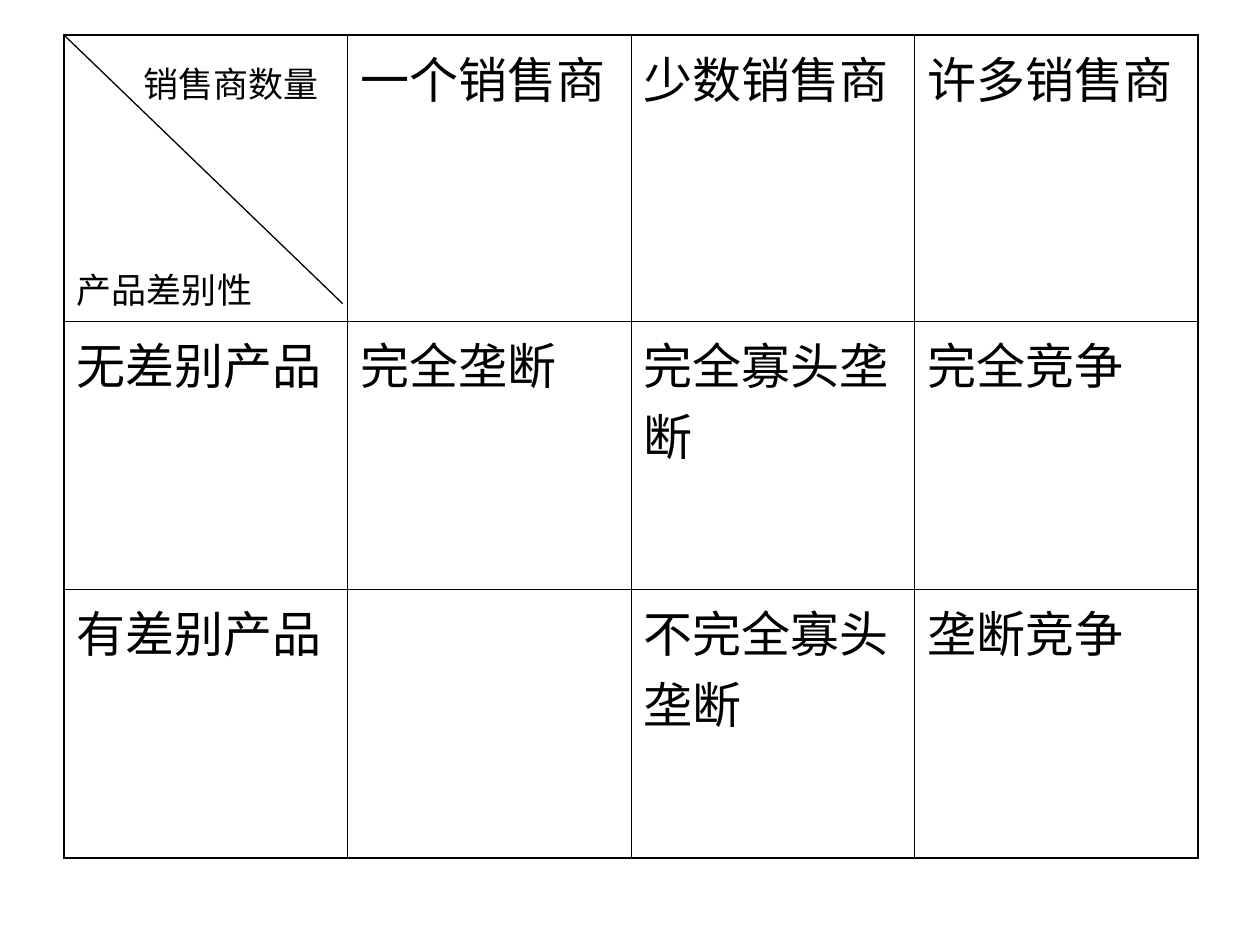
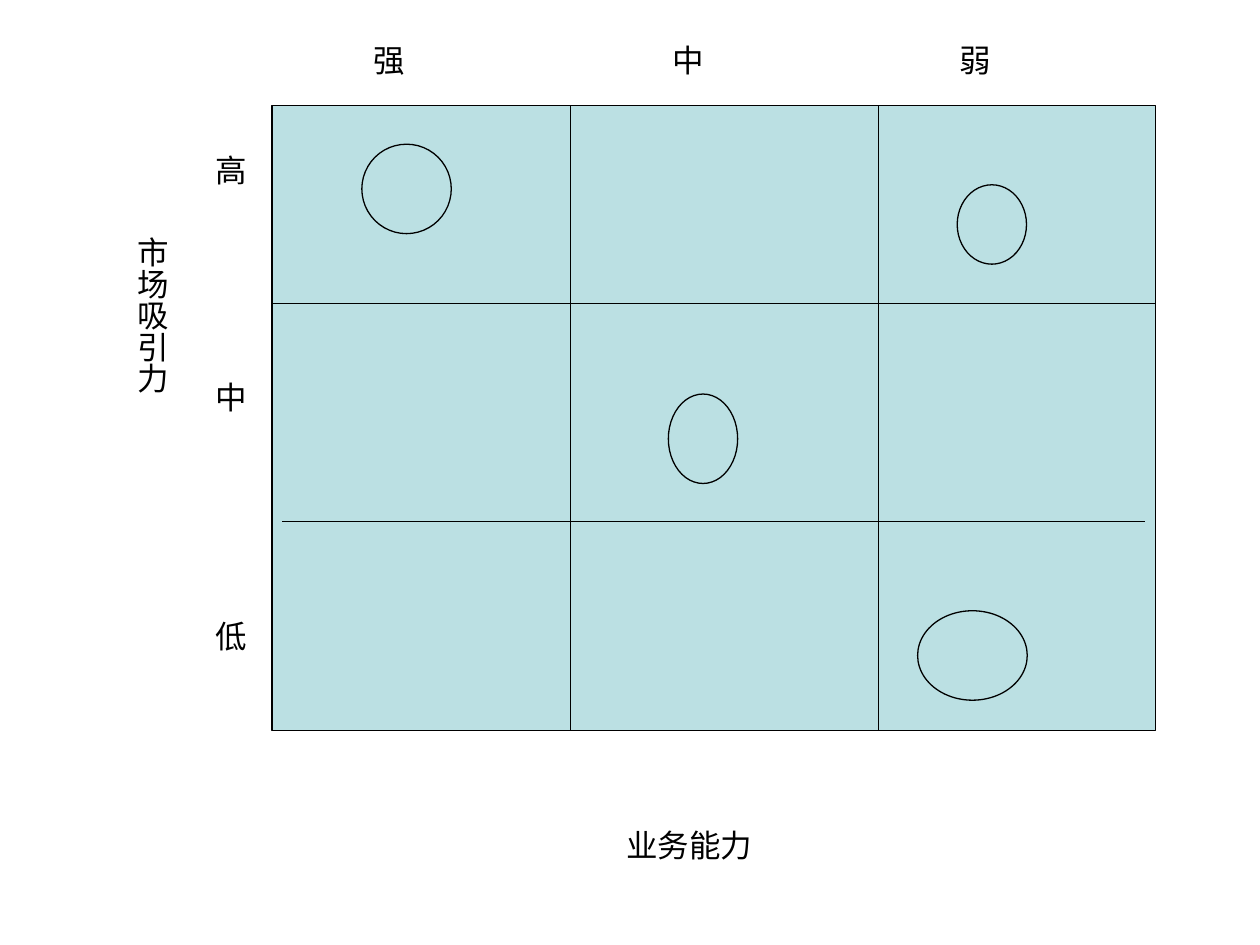
from itertools import product

from lxml import etree
from pptx import Presentation
from pptx import util as u
from pptx.dml.color import RGBColor
from pptx.enum import shapes, text
from pptx.oxml.ns import qn

FONT = "Arial"
INK, TINT = "000000", "BBE0E3"
THIN, THICK, RULE = 0.45, 1.08, 0.75  # line widths in points

# Market structure table
TABLE_LEFT, TABLE_TOP = 0.51, 0.28
TABLE_COLUMN = 2.25
TABLE_ROWS = [2.27, 2.13, 2.13]
MARKETS = [
    ["", "一个销售商", "少数销售商", "许多销售商"],
    ["无差别产品", "完全垄断", "完全寡头垄断", "完全竞争"],
    ["有差别产品", "", "不完全寡头垄断", "垄断竞争"],
]

# Edges of the attractiveness matrix
EDGES_X = [2.16, 4.53, 6.97, 9.17]
EDGES_Y = [0.84, 2.41, 4.14, 5.8]
ABILITY = [("强", 2.87), ("中", 5.24), ("弱", 7.52)]
ATTRACTION = [("高", 1.15), ("中", 2.95), ("低", 4.85)]
# Column, row, centre as shares of the cell, width, height
BUSINESSES = [
    (0, 0, 0.45, 0.42, 0.71, 0.71),
    (2, 0, 0.41, 0.6, 0.55, 0.63),
    (1, 1, 0.43, 0.62, 0.55, 0.71),
    (2, 2, 0.34, 0.64, 0.87, 0.71),
]


def color(value):
    return RGBColor.from_string(value)


def inches(*lengths):
    return [u.Inches(length) for length in lengths]


def style(paragraph, size):
    paragraph.font.name = FONT
    paragraph.font.size = u.Pt(size)
    paragraph.font.color.rgb = color(INK)


def add_rule(slide, x1, y1, x2, y2):
    rule = slide.shapes.add_connector(
        shapes.MSO_CONNECTOR.STRAIGHT, *inches(x1, y1, x2, y2))
    rule.line.color.rgb = color(INK)
    rule.line.width = u.Pt(RULE)
    etree.SubElement(rule._element.spPr, qn("a:effectLst"))


def add_area(slide, kind, left, top, width, height):
    area = slide.shapes.add_shape(kind, *inches(left, top, width, height))
    area.shadow.inherit = False
    area.fill.solid()
    area.fill.fore_color.rgb = color(TINT)
    area.line.color.rgb = color(INK)
    area.line.width = u.Pt(RULE)


def add_label(slide, words, left, top, width=0.47, height=0.4,
              centered=False, vertical=False):
    frame = slide.shapes.add_textbox(
        *inches(left, top, width, height)).text_frame
    frame.word_wrap = True
    frame.auto_size = text.MSO_AUTO_SIZE.SHAPE_TO_FIT_TEXT
    if vertical:
        frame._txBody.bodyPr.set("vert", "eaVert")
        frame.margin_left = frame.margin_right = u.Inches(0.05)
        frame.margin_top = frame.margin_bottom = u.Inches(0.1)
    label = frame.paragraphs[0]
    label.text = words
    if centered:
        label.alignment = text.PP_ALIGN.CENTER
    style(label, 18)


def set_borders(cell, widths):
    properties = cell._tc.get_or_add_tcPr()
    for side, width in zip("LRTB", widths):
        border = etree.SubElement(properties, qn(f"a:ln{side}"),
                                  w=str(u.Pt(width)))
        fill = etree.SubElement(border, qn("a:solidFill"))
        etree.SubElement(fill, qn("a:srgbClr"), val=INK)


def fill_corner(cell):
    """Column heading above the diagonal, row heading below it."""
    cell.margin_top = u.Inches(0.17)
    sellers = cell.text_frame.paragraphs[0]
    sellers.text = "销售商数量"
    sellers._p.get_or_add_pPr().set("marL", str(u.Inches(0.53)))
    difference = cell.text_frame.add_paragraph()
    difference.text = "产品差别性"
    difference.space_before = u.Pt(89)
    for heading in (sellers, difference):
        style(heading, 20)


def add_market_table(slide):
    row_count, column_count = len(MARKETS), len(MARKETS[0])
    table = slide.shapes.add_table(
        row_count, column_count,
        *inches(TABLE_LEFT, TABLE_TOP, TABLE_COLUMN * column_count,
                sum(TABLE_ROWS))).table
    table.first_row = table.horz_banding = False
    for column in table.columns:
        column.width = u.Inches(TABLE_COLUMN)
    for row, height in zip(table.rows, TABLE_ROWS):
        row.height = u.Inches(height)
    for r, c in product(range(row_count), range(column_count)):
        cell = table.cell(r, c)
        outer = (c == 0, c == column_count - 1, r == 0, r == row_count - 1)
        set_borders(cell, [THICK if edge else THIN for edge in outer])
        cell.fill.background()
        market = cell.text_frame.paragraphs[0]
        market.text = MARKETS[r][c]
        style(market, 28)
    fill_corner(table.cell(0, 0))


def build_market_slide(slide):
    add_market_table(slide)
    # Diagonal of the corner cell
    add_rule(slide, TABLE_LEFT, TABLE_TOP, 2.72, 2.41)


def build_matrix_slide(slide):
    left, first_x, second_x, right = EDGES_X
    top, first_y, second_y, bottom = EDGES_Y

    # Matrix and its dividers
    add_area(slide, shapes.MSO_SHAPE.RECTANGLE,
             left, top, right - left, bottom - top)
    for y, gap in ((first_y, 0), (second_y, 0.08)):
        add_rule(slide, left + gap, y, right - gap, y)
    for x in (first_x, second_x):
        add_rule(slide, x, top, x, bottom)

    # Axis titles and levels
    add_label(slide, "市场吸引力", 0.91, 1.78, 0.5, 3.15,
              centered=True, vertical=True)
    add_label(slide, "业务能力", 3.66, 6.51, 3.62, centered=True)
    for level, y in ATTRACTION:
        add_label(slide, level, 1.61, y)
    for level, x in ABILITY:
        add_label(slide, level, x, 0.28)

    # Businesses
    for column, row, share_x, share_y, width, height in BUSINESSES:
        x1, x2 = EDGES_X[column:column + 2]
        y1, y2 = EDGES_Y[row:row + 2]
        add_area(slide, shapes.MSO_SHAPE.OVAL,
                 x1 + share_x * (x2 - x1) - width / 2,
                 y1 + share_y * (y2 - y1) - height / 2, width, height)


def main():
    deck = Presentation()
    deck.slide_width, deck.slide_height = inches(10, 7.5)
    blank = deck.slide_layouts[6]
    for build in (build_market_slide, build_matrix_slide):
        build(deck.slides.add_slide(blank))
    deck.save("out.pptx")


if __name__ == "__main__":
    main()
